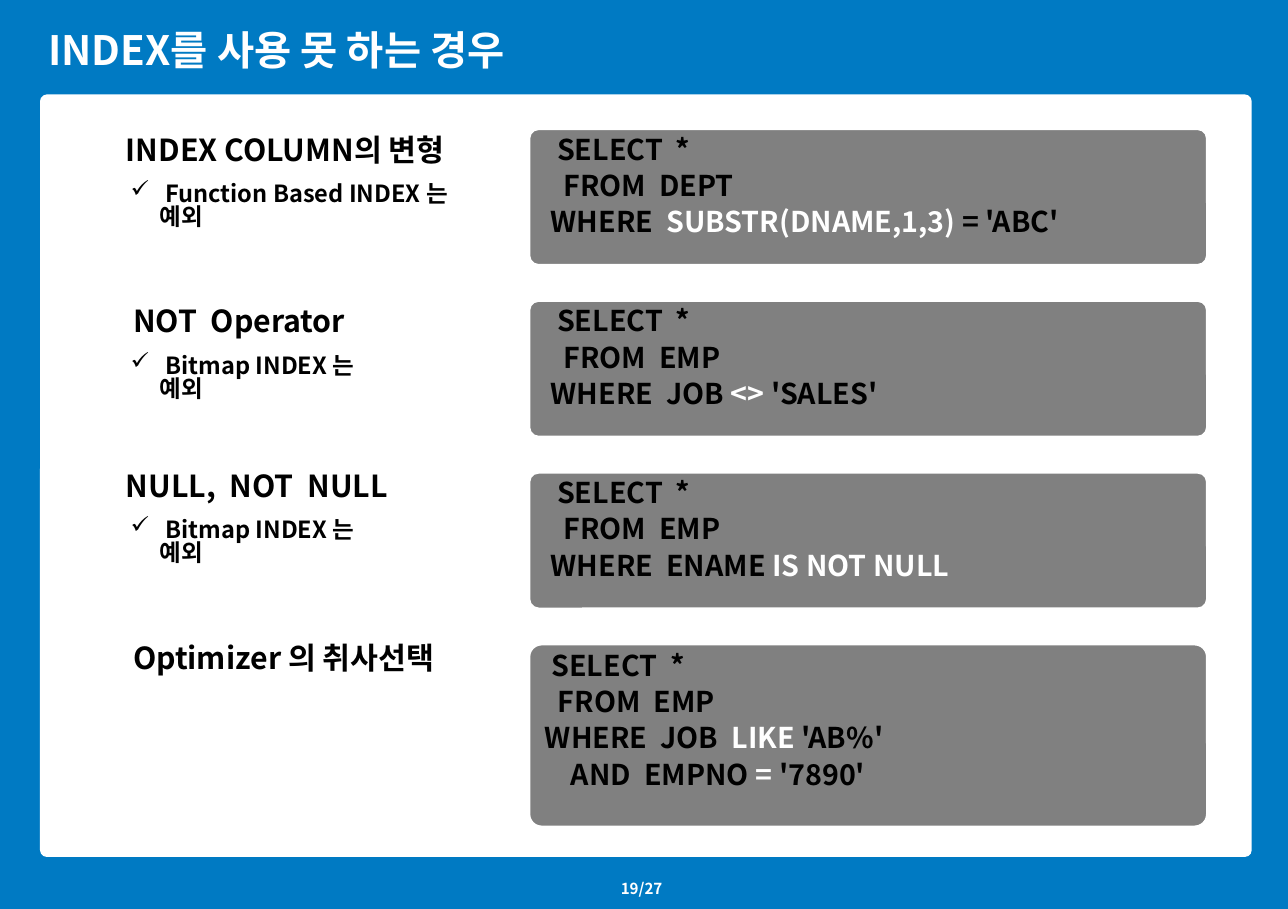
from dataclasses import dataclass

from lxml import etree
from pptx import Presentation
from pptx import util as u
from pptx.dml.color import RGBColor
from pptx.enum import shapes, text
from pptx.oxml import ns


@dataclass(frozen=True)
class Theme:
    font: str = "Noto Sans CJK KR"
    blue: str = "007AC3"
    white: str = "FFFFFF"
    black: str = "000000"
    gray: str = "808080"
    title: int = 24
    heading: int = 18
    code: int = 17
    note: int = 14
    page: int = 9


THEME = Theme()

# Each code line alternates between plain and highlighted parts.
CASES = [
    dict(heading="INDEX COLUMN의 변형", note="Function Based INDEX 는 예외",
         heading_x=0, heading_y=0.15, note_width=8.1, code_height=2.84,
         code=[["  SELECT  *"], ["   FROM  DEPT"],
               [" WHERE  ", "SUBSTR(DNAME,1,3)", " = 'ABC'"]]),
    dict(heading="NOT  Operator", note="Bitmap INDEX 는 예외",
         heading_x=0.15, heading_y=0.15, note_width=6.1, code_height=2.84,
         code=[["  SELECT  *"], ["   FROM  EMP"],
               [" WHERE  JOB ", "<>", " 'SALES'"]]),
    dict(heading="NULL,  NOT  NULL", note="Bitmap INDEX 는 예외",
         heading_x=0, heading_y=0, note_width=6.1, code_height=2.84,
         code=[["  SELECT  *"], ["   FROM  EMP"],
               [" WHERE  ENAME ", "IS NOT NULL"]]),
    dict(heading="Optimizer 의 취사선택", note=None,
         heading_x=0.15, heading_y=0, note_width=0, code_height=3.81,
         code=[[" SELECT  *"], ["  FROM  EMP"],
               ["WHERE  JOB  ", "LIKE", " 'AB%'"],
               ["    AND  EMPNO ", "=", " '7890'"]]),
]


def apply(target, **values):
    for name, value in values.items():
        setattr(target, name, value)


def add_run(paragraph, content, size, color):
    run = paragraph.add_run()
    run.text = content
    apply(run.font, name=THEME.font, size=u.Pt(size), bold=True)
    run.font.color.rgb = RGBColor.from_string(color)
    east_asian = etree.SubElement(run.font._element, ns.qn("a:ea"))
    east_asian.set("typeface", THEME.font)


def add_text(slide, box, content, size, color, inset=(0.25, 0.13),
             anchor=text.MSO_ANCHOR.TOP, **paragraph_format):
    shape = slide.shapes.add_textbox(*map(u.Cm, box))
    side, end = map(u.Cm, inset)
    apply(shape.text_frame, word_wrap=True, vertical_anchor=anchor,
          margin_left=side, margin_right=side, margin_top=end, margin_bottom=end)
    paragraph = shape.text_frame.paragraphs[0]
    apply(paragraph, **paragraph_format)
    add_run(paragraph, content, size, color)
    return paragraph


def add_panel(slide, box, fill, rounding):
    shape = slide.shapes.add_shape(
        shapes.MSO_SHAPE.ROUNDED_RECTANGLE, *map(u.Cm, box))
    shape.adjustments[0] = rounding
    shape.shadow.inherit = False
    shape.fill.solid()
    shape.fill.fore_color.rgb = RGBColor.from_string(fill)
    shape.line.fill.background()
    return shape


def add_frame(slide, width, height):
    """Background, white page, title and page number."""
    slide.background.fill.solid()
    slide.background.fill.fore_color.rgb = RGBColor.from_string(THEME.blue)
    add_panel(slide, (0.84, 1.98, width - 1.6, height - 3.07), THEME.white, 0.009)
    add_text(slide, (0.76, 0.28, 15.85, 1.5), "INDEX를 사용 못 하는 경우",
             THEME.title, THEME.white, anchor=text.MSO_ANCHOR.MIDDLE)
    add_text(slide, ((width - 6.3) / 2 - 0.05, height - 0.76, 6.3, 0.64), "19/27",
             THEME.page, THEME.white, anchor=text.MSO_ANCHOR.MIDDLE,
             alignment=text.PP_ALIGN.CENTER)


def add_note(slide, box, content):
    """Check-marked exception below a heading."""
    paragraph = add_text(slide, box, " " + content, THEME.note, THEME.black,
                         line_spacing=0.82)
    properties = paragraph._p.get_or_add_pPr()
    properties.set("marL", str(u.Cm(0.61)))
    properties.set("indent", str(-u.Cm(0.61)))
    bullet = etree.SubElement(properties, ns.qn("a:buChar"))
    bullet.set("char", "✓")


def add_code(slide, box, lines):
    """Gray panel with a query."""
    panel = add_panel(slide, box, THEME.gray, 0.067)
    panel.line.color.rgb = RGBColor.from_string(THEME.white)
    panel.line.width = u.Pt(1)
    frame = panel.text_frame
    apply(frame, word_wrap=True, vertical_anchor=text.MSO_ANCHOR.TOP,
          margin_left=u.Cm(0.25), margin_right=u.Cm(0.25),
          margin_top=u.Cm(0.13), margin_bottom=u.Cm(0.13))
    for number, parts in enumerate(lines):
        paragraph = frame.add_paragraph() if number else frame.paragraphs[0]
        apply(paragraph, alignment=text.PP_ALIGN.LEFT, line_spacing=0.8,
              space_before=u.Pt(5.25 if number else 0))
        for index, part in enumerate(parts):
            color = THEME.white if index % 2 else THEME.black
            add_run(paragraph, part, THEME.code, color)


def add_case(slide, left, top, case):
    """Heading and note on the left, query on the right."""
    heading_top = top + case["heading_y"]
    add_text(slide, (left + 0.15 + case["heading_x"], heading_top, 8.2, 0.76),
             case["heading"], THEME.heading, THEME.black, inset=(0, 0),
             line_spacing=0.85)
    if case["note"]:
        add_note(slide, (left, heading_top + 0.86, case["note_width"], 1.4),
                 case["note"])
    add_code(slide, (left + 8.61, top, 14.2, case["code_height"]), case["code"])


def main():
    width, height = 27, 19.05
    presentation = Presentation()
    apply(presentation, slide_width=u.Cm(width), slide_height=u.Cm(height))
    slide = presentation.slides.add_slide(presentation.slide_layouts[6])
    add_frame(slide, width, height)
    for row, case in enumerate(CASES):
        add_case(slide, 2.49, 2.71 + 3.6 * row, case)
    presentation.save("out.pptx")


if __name__ == "__main__":
    main()
